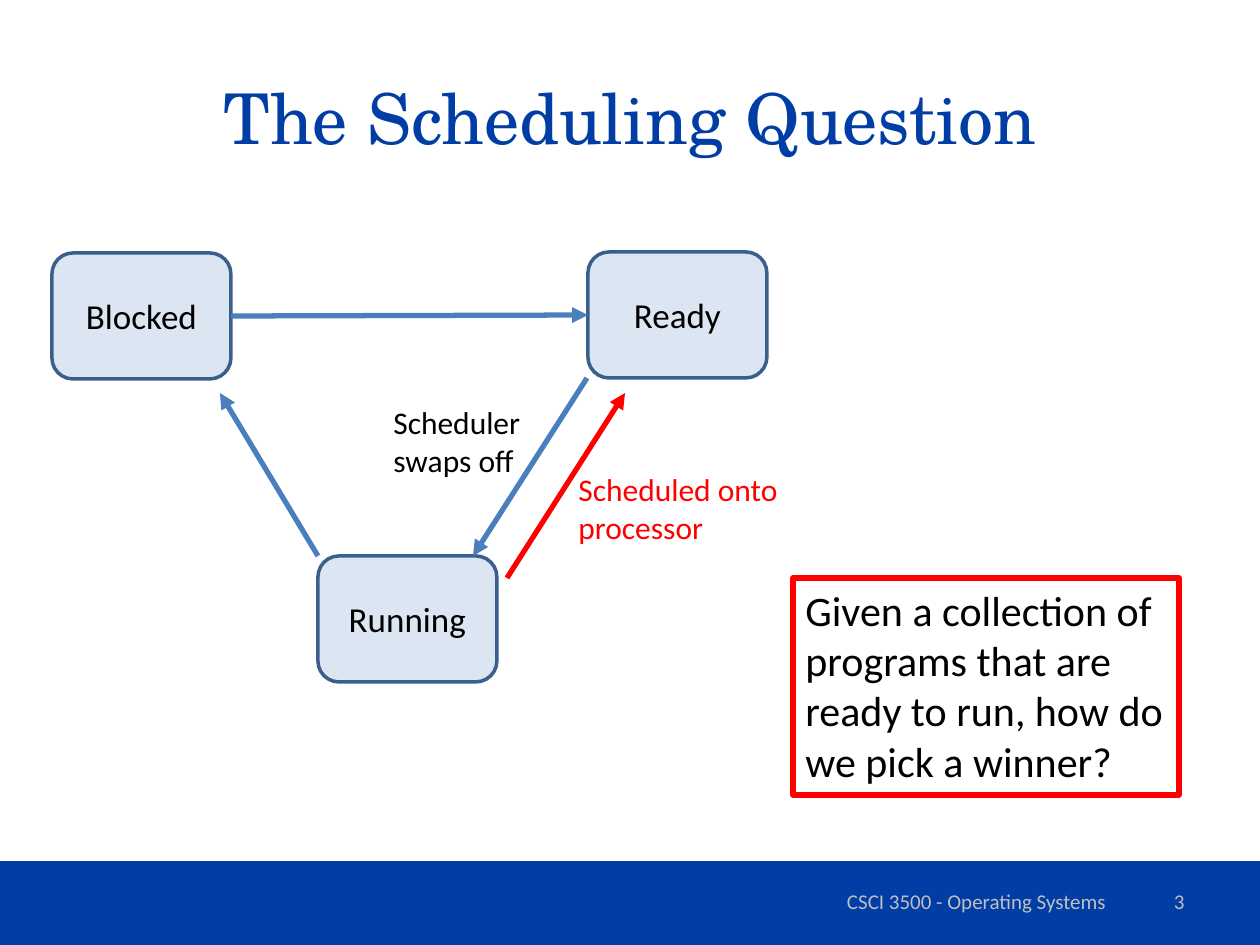
from dataclasses import dataclass
from typing import NamedTuple

from lxml import etree
from pptx import Presentation
from pptx.dml.color import RGBColor
from pptx.enum.shapes import MSO_CONNECTOR, MSO_SHAPE
from pptx.enum.text import MSO_ANCHOR, MSO_AUTO_SIZE, PP_ALIGN
from pptx.oxml.ns import qn
from pptx.util import Emu, Pt

RECT, ROUND = MSO_SHAPE.RECTANGLE, MSO_SHAPE.ROUNDED_RECTANGLE
LEFT, MID, RIGHT = PP_ALIGN.LEFT, PP_ALIGN.CENTER, PP_ALIGN.RIGHT
TOP, CENTER = MSO_ANCHOR.TOP, MSO_ANCHOR.MIDDLE
GROW, FIXED = MSO_AUTO_SIZE.SHAPE_TO_FIT_TEXT, MSO_AUTO_SIZE.NONE
STRAIGHT = MSO_CONNECTOR.STRAIGHT
SCALE = 914400 / 126


@dataclass(frozen=True)
class Theme:
    brand: str = "003DA5"
    pale: str = "DCE6F2"
    edge: str = "3A5F8C"
    flow: str = "4B7EBC"
    alert: str = "FF0000"
    ink: str = "000000"
    dim: str = "BFBFBF"
    head: str = "TeX Gyre Schola"
    body: str = "Calibri"
    title: int = 40
    quiz: int = 24
    state: int = 20
    label: int = 18
    foot: int = 12
    thin: int = 2
    thick: int = 3


class Box(NamedTuple):
    x: int
    y: int
    w: int
    h: int


class State(NamedTuple):
    name: str
    x: int
    y: int


class Arrow(NamedTuple):
    start: tuple
    end: tuple
    color: str


class Note(NamedTuple):
    text: str
    box: Box
    size: int
    color: str
    edge: str = ""


class Foot(NamedTuple):
    text: str
    box: Box
    align: PP_ALIGN


THEME = Theme()
STATES = [State("Blocked", 52, 253), State("Ready", 588, 252), State("Running", 318, 556)]
ARROWS = [
    Arrow((318, 556), (220, 393), THEME.flow),
    Arrow((507, 578), (625, 393), THEME.alert),
    Arrow((587, 378), (473, 556), THEME.flow),
]
NOTES = [
    Note("Scheduled onto\nprocessor", Box(566, 464, 227, 89), THEME.label, THEME.alert),
    Note("Scheduler\nswaps off", Box(381, 397, 154, 89), THEME.label, THEME.ink),
    Note("Given a collection of\nprograms that are\nready to run, how do\nwe pick a winner?",
         Box(793, 578, 386, 217), THEME.quiz, THEME.ink, THEME.alert),
]
FEET = [
    Foot("CSCI 3500 - Operating Systems", Box(777, 876, 399, 50), MID),
    Foot("3", Box(903, 876, 294, 50), RIGHT),
]


def px(n: int) -> Emu:
    return Emu(round(n * SCALE))


def rgb(color: str) -> RGBColor:
    return RGBColor.from_string(color)


def place(shape, box: Box) -> None:
    shape.left, shape.top, shape.width, shape.height = map(px, box)


def paint(line, color: str, width: int) -> None:
    line.color.rgb = rgb(color)
    line.width = Pt(width)


def write(shape, text: str, size: int, color: str, align=LEFT, anchor=TOP,
          face: str = THEME.body) -> None:
    frame = shape.text_frame
    frame.word_wrap = True
    frame.auto_size = FIXED
    frame.vertical_anchor = anchor
    para = frame.paragraphs[0]
    para.text = text
    para.alignment = align
    para.font.name = face
    para.font.size = Pt(size)
    para.font.color.rgb = rgb(color)


def draw_block(slide, kind: MSO_SHAPE, box: Box, fill: str):
    shape = slide.shapes.add_shape(kind, *map(px, box))
    shape.shadow.inherit = False
    shape.fill.solid()
    shape.fill.fore_color.rgb = rgb(fill)
    shape.line.fill.background()
    return shape


def draw_state(slide, state: State):
    shape = draw_block(slide, ROUND, Box(state.x, state.y, 179, 126), THEME.pale)
    paint(shape.line, THEME.edge, THEME.thin)
    write(shape, state.name, THEME.state, THEME.ink, MID, CENTER)
    return shape


def draw_arrow(slide, arrow: Arrow):
    line = slide.shapes.add_connector(STRAIGHT, *map(px, arrow.start + arrow.end))
    paint(line.line, arrow.color, THEME.thick)
    tip = etree.SubElement(line.line._get_or_add_ln(), qn("a:tailEnd"))
    tip.set("type", "triangle")
    etree.SubElement(line._element.spPr, qn("a:effectLst"))
    return line


def draw_note(slide, note: Note) -> None:
    shape = slide.shapes.add_textbox(*map(px, note.box))
    write(shape, note.text, note.size, note.color)
    shape.text_frame.word_wrap = False
    shape.text_frame.auto_size = GROW
    if note.edge:
        paint(shape.line, note.edge, THEME.thick)


def draw_foot(slide, foot: Foot) -> None:
    shape = slide.shapes.add_textbox(*map(px, foot.box))
    write(shape, foot.text, THEME.foot, THEME.dim, foot.align, CENTER)


def main() -> None:
    deck = Presentation()
    deck.slide_width, deck.slide_height = px(1260), px(945)
    slide = deck.slides.add_slide(deck.slide_layouts[5])
    title = slide.shapes.title
    place(title, Box(63, 38, 1134, 157))
    write(title, "The Scheduling Question", THEME.title, THEME.brand, MID, CENTER, THEME.head)
    draw_block(slide, RECT, Box(0, 861, 1260, 84), THEME.brand)
    for foot in FEET:
        draw_foot(slide, foot)
    blocked, ready, _ = [draw_state(slide, state) for state in STATES]
    wake = draw_arrow(slide, Arrow((231, 316), (588, 315), THEME.flow))
    wake.begin_connect(blocked, 3)
    wake.end_connect(ready, 1)
    for arrow in ARROWS:
        draw_arrow(slide, arrow)
    for note in NOTES:
        draw_note(slide, note)
    deck.save("out.pptx")


if __name__ == "__main__":
    main()
